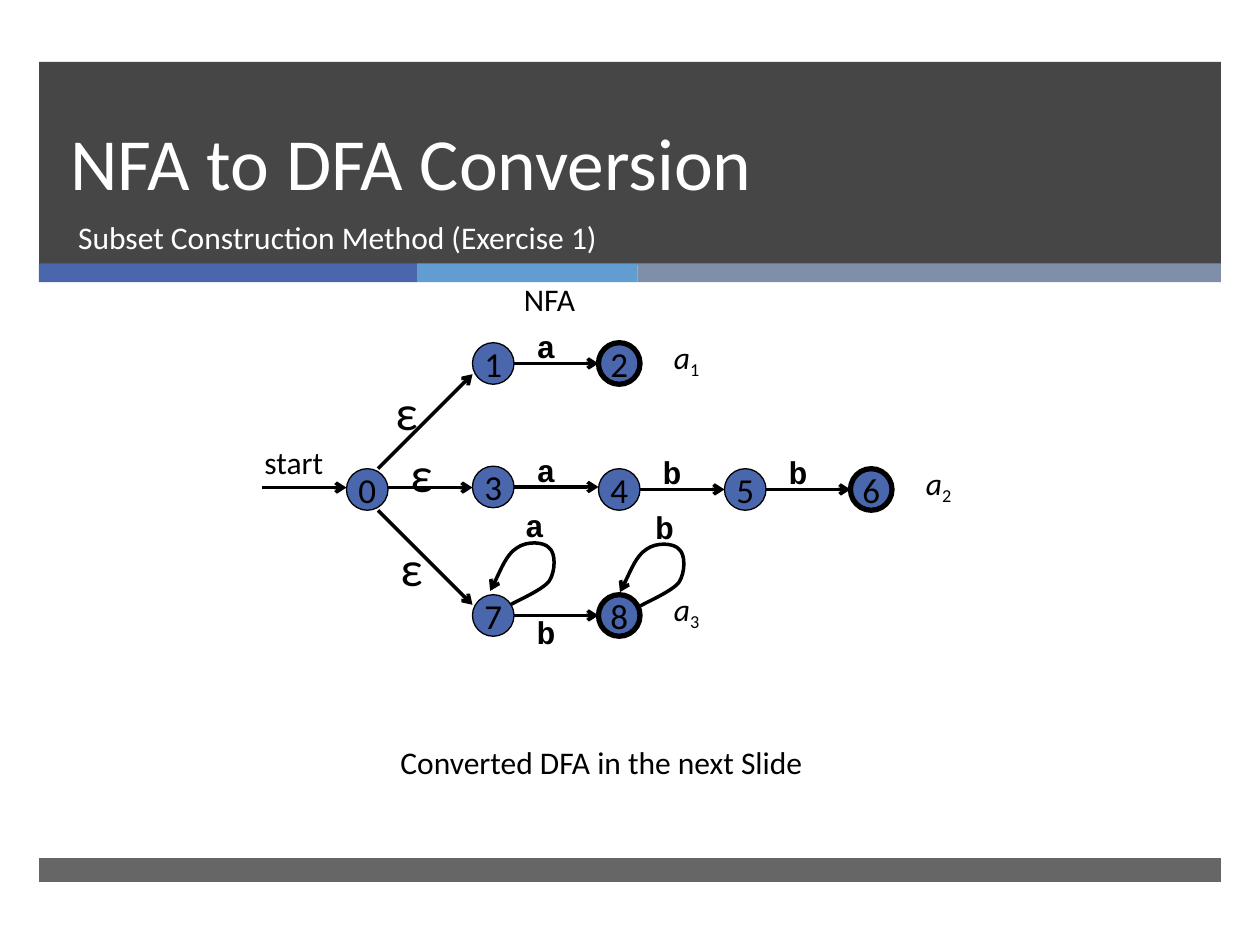
from dataclasses import dataclass

from lxml import etree
from pptx import Presentation
from pptx import util as u
from pptx.dml.color import RGBColor
from pptx.enum import shapes, text
from pptx.oxml.ns import qn


@dataclass(frozen=True)
class Theme:
    dark: str = "262626"
    blue: str = "4A66AC"
    sky: str = "629DD1"
    slate: str = "7F8FA9"
    ink: str = "000000"
    paper: str = "FFFFFF"
    font: str = "Calibri"
    code: str = "Courier New"
    head: int = 42
    lead: int = 46
    body: int = 18
    state: int = 20
    eps: int = 28
    thin: float = 0.75
    edge: float = 2
    bold: float = 3


COLS, ROWS = 10, 7.5      # grid cells are one inch square
LEFT, TOP = 2.75, 2.72    # corner of the first automaton cell
SIZE = 0.33               # diameter of a state
MID = SIZE / 2


def write(para, words, size, color, font, bold=False, italic=False, sub=False):
    """Add one formatted run to a paragraph."""
    run = para.add_run()
    run.text = words
    run.font.size = u.Pt(size)
    run.font.name = font
    run.font.bold = bold
    run.font.italic = italic
    run.font.color.rgb = RGBColor.from_string(color)
    if sub:
        run._r.get_or_add_rPr().set("baseline", "-25000")


class Deck:
    def __init__(self, theme):
        self.look = theme
        self.prs = Presentation()
        self.prs.slide_width = u.Inches(COLS)
        self.prs.slide_height = u.Inches(ROWS)
        self.slide = self.prs.slides.add_slide(self.prs.slide_layouts[0])
        self.draw = self.slide.shapes

    def cells(self, *spans):
        return [u.Inches(span) for span in spans]

    def paint(self, shape, color):
        shape.shadow.inherit = False
        shape.fill.solid()
        shape.fill.fore_color.rgb = RGBColor.from_string(color)

    def band(self, x, y, w, h, color, alpha=100):
        bar = self.draw.add_shape(shapes.MSO_SHAPE.RECTANGLE, *self.cells(x, y, w, h))
        self.paint(bar, color)
        bar.line.fill.background()
        if alpha < 100:
            tone = bar._element.spPr.find(".//" + qn("a:srgbClr"))
            etree.SubElement(tone, qn("a:alpha")).set("val", str(alpha * 1000))

    def holder(self, index, at, words, size, anchor, lead=None):
        box = self.slide.placeholders[index]
        box.left, box.top, box.width, box.height = self.cells(*at)
        self.draw._spTree.append(box._element)  # bring in front of the bands
        frame = box.text_frame
        frame.auto_size = text.MSO_AUTO_SIZE.NONE
        frame.vertical_anchor = anchor
        para = frame.paragraphs[0]
        para.alignment = text.PP_ALIGN.LEFT
        para.space_before = u.Pt(0)
        if lead:
            para.line_spacing = u.Pt(lead)
        write(para, words, size, self.look.paper, self.look.font)

    def label(self, x, y, w, h, *parts, size=None, font=None, wrap=False, bold=False):
        """Each part is a string or a (string, format) pair."""
        frame = self.draw.add_textbox(*self.cells(x, y, w, h)).text_frame
        frame.word_wrap = wrap
        frame.auto_size = text.MSO_AUTO_SIZE.SHAPE_TO_FIT_TEXT
        for part in parts:
            words, form = (part, {}) if isinstance(part, str) else part
            write(frame.paragraphs[0], words, size or self.look.body, self.look.ink,
                  font or self.look.font, bold=bold, **form)

    def state(self, name, x, y, final):
        disc = self.draw.add_shape(shapes.MSO_SHAPE.OVAL, *self.cells(x, y, SIZE, SIZE))
        self.paint(disc, self.look.blue)
        disc.line.color.rgb = RGBColor.from_string(self.look.ink)
        disc.line.width = u.Pt(self.look.bold if final else self.look.thin)
        frame = disc.text_frame
        frame.word_wrap = False
        frame.vertical_anchor = text.MSO_ANCHOR.MIDDLE
        para = frame.paragraphs[0]
        para.alignment = text.PP_ALIGN.CENTER
        write(para, name, self.look.state, self.look.ink, self.look.font)

    def stroke(self, shape):
        """Black line with an arrowhead at its end and no shadow."""
        shape.line.color.rgb = RGBColor.from_string(self.look.ink)
        shape.line.width = u.Pt(self.look.edge)
        props = shape._element.spPr
        etree.SubElement(props.find(qn("a:ln")), qn("a:tailEnd")).set("type", "arrow")
        etree.SubElement(props, qn("a:effectLst"))

    def arrow(self, *ends):
        self.stroke(self.draw.add_connector(shapes.MSO_CONNECTOR.STRAIGHT,
                                            *self.cells(*ends)))

    def loop(self, x, y):
        """Self-transition: a curve of four Bezier pieces around a state's corner."""
        curve = [(.3, .08),
                 (.35, .05), (.56, -.04), (.61, -.11),
                 (.66, -.19), (.66, -.33), (.61, -.37),
                 (.57, -.42), (.43, -.43), (.35, -.37),
                 (.27, -.32), (.18, -.1), (.14, -.03)]
        first, *rest = [self.cells(x + dx, y + dy) for dx, dy in curve]
        pen = self.draw.build_freeform(*first)
        pen.add_line_segments(rest, close=False)
        shape = pen.convert_to_shape()
        track = shape._element.find(".//" + qn("a:path"))
        lines = track.findall(qn("a:lnTo"))
        for i in range(0, len(lines), 3):
            bend = etree.SubElement(track, qn("a:cubicBezTo"))
            for line in lines[i:i + 3]:
                bend.append(line[0])
                track.remove(line)
        shape.fill.background()
        self.stroke(shape)


def main():
    look = Theme()
    deck = Deck(look)

    # Header and footer bands
    edge, wide = 0.31, 9.38
    deck.band(edge, 0.49, wide, 1.61, look.dark, 85)
    x = edge
    for w, color in ((3, look.blue), (1.75, look.sky), (4.63, look.slate)):
        deck.band(x, 2.09, w, 0.15, color)
        x += w
    deck.band(edge, 6.81, wide, 0.19, look.dark, 70)

    # Title and subtitle
    deck.holder(0, (0.46, 0.49, 8.54, 1.19), "NFA to DFA Conversion",
                look.head, text.MSO_ANCHOR.BOTTOM, look.lead)
    deck.holder(1, (0.52, 1.68, 8.48, 0.53), "Subset Construction Method (Exercise 1)",
                look.body, text.MSO_ANCHOR.TOP)

    # States: name, column, row
    spots = {"0": (0, 1), "1": (1, 0), "2": (2, 0), "3": (1, 0.98), "4": (2, 1),
             "5": (3, 1), "6": (4, 1), "7": (1, 2), "8": (2, 2)}
    for name, (col, row) in spots.items():
        deck.state(name, LEFT + col, TOP + row, name in "268")

    # Straight transitions: letter, source column, row, label offset
    for sign, col, row, lift in (("a", 1, 0, -.17), ("a", 1, .98, -.17),
                                 ("b", 2, 1, -.17), ("b", 3, 1, -.17),
                                 ("b", 1, 2, .1)):
        x, y = LEFT + col, TOP + row
        deck.arrow(x + SIZE, y + MID, x + 1, y + MID)
        deck.label(x + .41, y + lift, .35, .4, sign, font=look.code, bold=True)

    # Start arrow and epsilon transitions
    for x in (LEFT - 1 + SIZE, LEFT + SIZE):
        deck.arrow(x, 3.87, x + 1 - SIZE, 3.87)
    deck.arrow(3, 3.72, 3.75, 2.97)
    deck.arrow(3, 4.05, 3.75, 4.8)
    deck.label(2, 3.47, .69, .4, "start")
    for x, y in ((3.04, 2.98), (3.16, 3.47), (3.08, 4.22)):
        deck.label(x, y, .37, .57, "ε", size=look.eps)

    # Self-transitions
    for sign, x, y in (("a", 3.75, 4.72), ("b", 4.78, 4.73)):
        deck.loop(x, y)
        deck.label(x + .32, y - .75, .35, .4, sign, font=look.code, bold=True)

    # Pattern names beside the final states
    for row, col in enumerate((2, 4, 2)):
        deck.label(LEFT + col + .5, TOP + row - .09, .44, .4,
                   ("a", {"italic": True}), (str(row + 1), {"sub": True}))

    # Captions
    deck.label(4.06, 2.17, .67, .4, "NFA", wrap=True)
    deck.label(3.08, 5.85, 4.29, .4, "Converted DFA in the next Slide", wrap=True)

    deck.prs.save("out.pptx")


if __name__ == "__main__":
    main()
